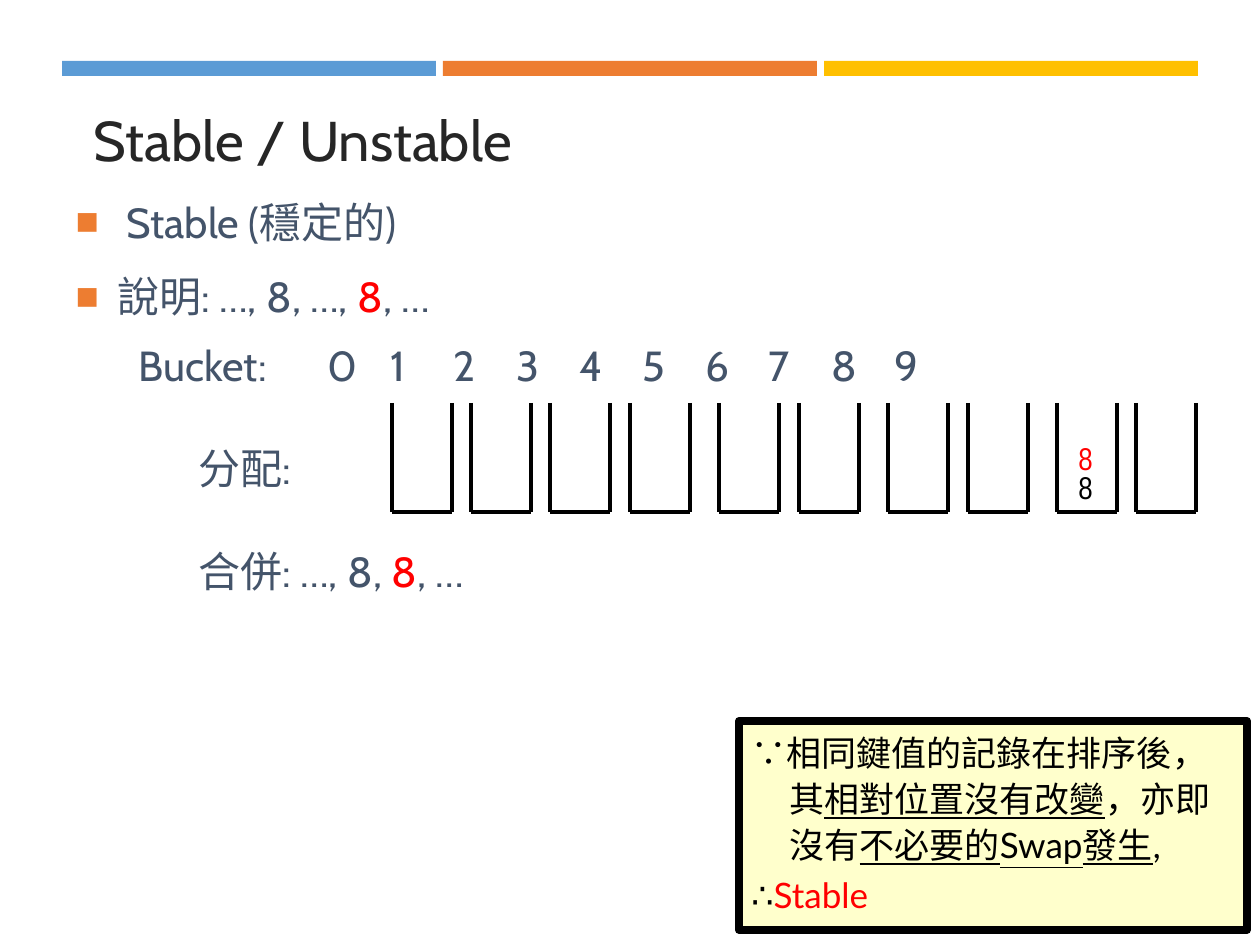
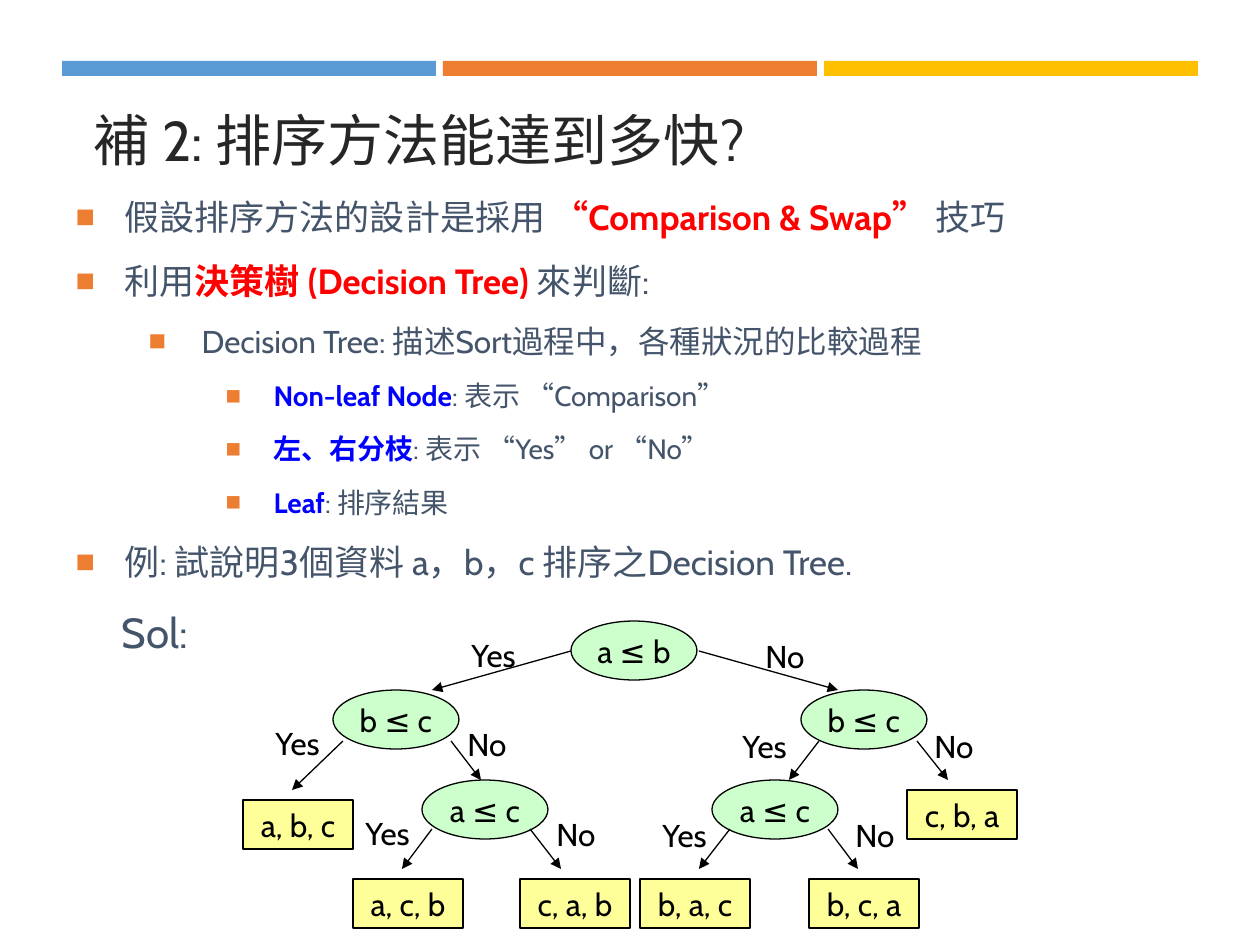
from lxml import etree
from pptx import Presentation
from pptx.dml.color import RGBColor
from pptx.enum.shapes import MSO_CONNECTOR, MSO_SHAPE
from pptx.enum.text import MSO_ANCHOR, MSO_AUTO_SIZE, PP_ALIGN
from pptx.oxml.ns import qn
from pptx.util import Emu, Pt

PX = 914400 / 126
BLUE_BAND = RGBColor(0x5B, 0x9B, 0xD5)
ORANGE = RGBColor(0xED, 0x7D, 0x31)
GOLD = RGBColor(0xFF, 0xC0, 0x00)
INK = RGBColor(0x26, 0x26, 0x26)
SLATE = RGBColor(0x44, 0x54, 0x6A)
BLACK = RGBColor(0, 0, 0)
RED = RGBColor(0xFF, 0, 0)
BLUE = RGBColor(0, 0, 0xFF)
CREAM = RGBColor(0xFF, 0xFF, 0xCC)
YELLOW = RGBColor(0xFF, 0xFF, 0x99)
GREEN = RGBColor(0xCC, 0xFF, 0xCC)
RED_TEXT = {"color": RED}
RED_BOLD = {"color": RED, "bold": True}
BLUE_BOLD = {"color": BLUE, "bold": True}
UNDERLINED = {"underline": True}


def add_runs(p, runs, **base):
    """Add runs given as plain strings or (text, format changes) pairs."""
    for run in runs:
        text, changes = (run, {}) if isinstance(run, str) else run
        r = p.add_run()
        r.text = text
        for name, value in {**base, **changes}.items():
            if name == "color":
                r.font.color.rgb = value
            else:
                setattr(r.font, name, value)


def add_line(s, ends, width, arrow=False):
    line = s.shapes.add_connector(MSO_CONNECTOR.STRAIGHT, *[Emu(round(v * PX)) for v in ends])
    line.line.color.rgb = BLACK
    line.line.width = Pt(width)
    if arrow:
        etree.SubElement(line.line._get_or_add_ln(), qn("a:tailEnd"), type="triangle")
    etree.SubElement(line._element.spPr, qn("a:effectLst"))


prs = Presentation()
prs.slide_width, prs.slide_height = Emu(round(1260 * PX)), Emu(round(945 * PX))

# Body lines: runs, size, level, left margin, hanging indent, bullet, line spacing, space before
BUCKET_ROW = "\tBucket:\t" + "\t".join(str(n) for n in range(10))
stable_lines = [
    (["Stable (穩定的)"], 24, 0, 51, 51, True, 1.1, 0.2),
    (["說明: …, 8, …, ", ("8", RED_TEXT), ", …"], 24, 0, 42, 42, True, 1.1, 0.2),
    ([BUCKET_ROW], 24, 0, 0, 0, False, 1.0, 0.2),
    (["分配:"], 24, 0, 123, 0, False, 1.5, 0.4),
    (["合併: …, 8, ", ("8", RED_TEXT), ", …"], 24, 0, 123, 0, False, 1.5, 0.4),
]
tree_lines = [
    (["假設排序方法的設計是採用", (" “Comparison & Swap” ", RED_BOLD), "技巧"],
     20, 0, 49, 49, True, 1.1, 0.2),
    (["利用", ("決策樹 (Decision Tree) ", RED_BOLD), "來判斷:"], 20, 0, 49, 49, True, 1.1, 0.2),
    (["Decision Tree: 描述Sort過程中，各種狀況的比較過程"], 18, 1, 126, 53, True, 1.1, 0.2),
    ([("Non-leaf Node", BLUE_BOLD), ": 表示 “Comparison”"], 16, 2, 198, 48, True, 1.1, 0.2),
    ([("左、右分枝", BLUE_BOLD), ": 表示 “Yes” or “No”"], 16, 2, 198, 48, True, 1.1, 0.2),
    ([("Leaf", BLUE_BOLD), ": 排序結果"], 16, 2, 198, 48, True, 1.1, 0.2),
    (["例: 試說明3個資料 a，b，c 排序之Decision Tree."], 20, 0, 49, 49, True, 1.1, 0.2),
    (["Sol:"], 24, 0, 46, 0, False, 1.1, 0.2),
]

slides = []
for title, lines in [("Stable / Unstable", stable_lines),
                     ("補 2: 排序方法能達到多快?", tree_lines)]:
    s = prs.slides.add_slide(prs.slide_layouts[1])
    slides.append(s)
    for i, color in enumerate([BLUE_BAND, ORANGE, GOLD]):
        band = s.shapes.add_shape(MSO_SHAPE.RECTANGLE, *[
            Emu(round(v * PX)) for v in (62 + 381 * i, 61, 374, 15)])
        band.shadow.inherit = False
        band.fill.solid()
        band.fill.fore_color.rgb = color
        band.line.fill.background()

    head, body = s.placeholders
    for holder, box in [(head, (81, 94, 1101, 90)), (body, (63, 185, 1143, 714))]:
        holder.left, holder.top, holder.width, holder.height = [Emu(round(v * PX)) for v in box]
        holder.text_frame.auto_size = MSO_AUTO_SIZE.NONE
    head.text_frame.vertical_anchor = MSO_ANCHOR.MIDDLE
    p = head.text_frame.paragraphs[0]
    p.alignment = PP_ALIGN.LEFT
    add_runs(p, [title], name="Cabin", size=Pt(32), color=INK)

    tf = body.text_frame
    for i, (runs, size, level, margin, hang, bullet, spacing, before) in enumerate(lines):
        p = tf.add_paragraph() if i else tf.paragraphs[0]
        p.level = level
        p.line_spacing = spacing
        p.space_before = Pt(size * before) if i else Pt(0)
        p.space_after = Pt(6)
        pPr = p._p.get_or_add_pPr()
        pPr.set("marL", str(round(margin * PX)))
        pPr.set("indent", str(round(-hang * PX)))
        if bullet:
            color = etree.SubElement(pPr, qn("a:buClr"))
            etree.SubElement(color, qn("a:srgbClr"), val=str(ORANGE))
            etree.SubElement(pPr, qn("a:buSzPct"), val="92000")
            etree.SubElement(pPr, qn("a:buChar"), char="■")
        else:
            etree.SubElement(pPr, qn("a:buNone"))
        if runs[0] == BUCKET_ROW:
            tabs = etree.SubElement(pPr, qn("a:tabLst"))
            stops = [(123, "l")] + [(321 + 79 * n, "ctr") for n in range(10)]
            for pos, align in stops:
                etree.SubElement(tabs, qn("a:tab"), pos=str(round(pos * PX)), algn=align)
        add_runs(p, runs, name="Cabin", size=Pt(size), color=SLATE)

# Slide 1: conclusion, buckets and the two equal keys
s = slides[0]
note = s.shapes.add_shape(MSO_SHAPE.RECTANGLE, *[
    Emu(round(v * PX)) for v in (739, 721, 508, 209)])
note.shadow.inherit = False
note.fill.solid()
note.fill.fore_color.rgb = CREAM
note.line.color.rgb = BLACK
note.line.width = Pt(4.5)
tf = note.text_frame
tf.word_wrap = True
tf.vertical_anchor = MSO_ANCHOR.TOP
reasons = [
    ["∵相同鍵值的記錄在排序後，其", ("相對位置沒有改變", UNDERLINED), "，亦即沒有",
     ("不必要的Swap發生", UNDERLINED), ","],
    ["∴", ("Stable", RED_TEXT)],
]
for i, runs in enumerate(reasons):
    p = tf.add_paragraph() if i else tf.paragraphs[0]
    p.alignment = PP_ALIGN.LEFT
    p.line_spacing = 1.1
    p.space_before = Pt(2 * i)
    pPr = p._p.get_or_add_pPr()
    pPr.set("marL", str(round(38 * PX)))
    pPr.set("indent", str(round(-38 * PX)))
    add_runs(p, runs, name="Lato", size=Pt(20), color=BLACK)

top, bottom, width = 403, 512, 60
for left in (392, 471, 550, 630, 719, 799, 888, 968, 1057, 1136):
    right = left + width
    for ends in [(left, bottom, right, bottom), (left, top, left, bottom),
                 (right, top, right, bottom)]:
        add_line(s, ends, 2.25)

labels = [(s, "8", 1066, 462, 40, "Arial Narrow", BLACK),
          (s, "8", 1066, 433, 40, "Arial Narrow", RED)]

# Slide 2: decision tree
s = slides[1]
leaves = [("a, b, c", 243, 800), ("a, c, b", 353, 879), ("c, a, b", 520, 879),
          ("c, b, a", 907, 790), ("b, a, c", 640, 879), ("b, c, a", 809, 879)]
# Comparison, its corner, Yes arrow, No arrow, Yes label, No label
comparisons = [
    ("a ≤ b", 571, 621, (571, 651, 432, 690), (699, 651, 838, 690), (459, 630), (753, 631)),
    ("b ≤ c", 333, 690, (343, 741, 292, 790), (451, 741, 481, 780), (263, 718), (455, 719)),
    ("b ≤ c", 801, 690, (819, 741, 789, 780), (917, 741, 948, 780), (730, 721), (922, 721)),
    ("a ≤ c", 422, 780, (432, 829, 402, 869), (530, 829, 561, 869), (353, 808), (544, 809)),
    ("a ≤ c", 712, 780, (730, 829, 699, 869), (828, 829, 858, 869), (650, 810), (843, 810)),
]
nodes = [(MSO_SHAPE.RECTANGLE, YELLOW, 110, 49, *leaf) for leaf in leaves]
nodes += [(MSO_SHAPE.OVAL, GREEN, 126, 59, *c[:3]) for c in comparisons]
for kind, fill, w, h, text, x, y in nodes:
    node = s.shapes.add_shape(kind, *[Emu(round(v * PX)) for v in (x, y, w, h)])
    node.shadow.inherit = False
    node.fill.solid()
    node.fill.fore_color.rgb = fill
    node.line.color.rgb = BLACK
    node.line.width = Pt(0.75)
    tf = node.text_frame
    tf.word_wrap = False
    tf.vertical_anchor = MSO_ANCHOR.MIDDLE
    p = tf.paragraphs[0]
    p.alignment = PP_ALIGN.CENTER
    add_runs(p, [text], name="Cabin", size=Pt(18), color=BLACK)

for _, _, _, yes_arrow, no_arrow, yes_at, no_at in comparisons:
    add_line(s, yes_arrow, 0.75, arrow=True)
    add_line(s, no_arrow, 0.75, arrow=True)
    labels += [(s, "Yes", *yes_at, 72, "Cabin", BLACK), (s, "No", *no_at, 66, "Cabin", BLACK)]

for s, text, x, y, w, font, color in labels:
    tf = s.shapes.add_textbox(*[Emu(round(v * PX)) for v in (x, y, w, 50)]).text_frame
    tf.word_wrap = False
    add_runs(tf.paragraphs[0], [text], name=font, size=Pt(18), color=color)

prs.save("out.pptx")
